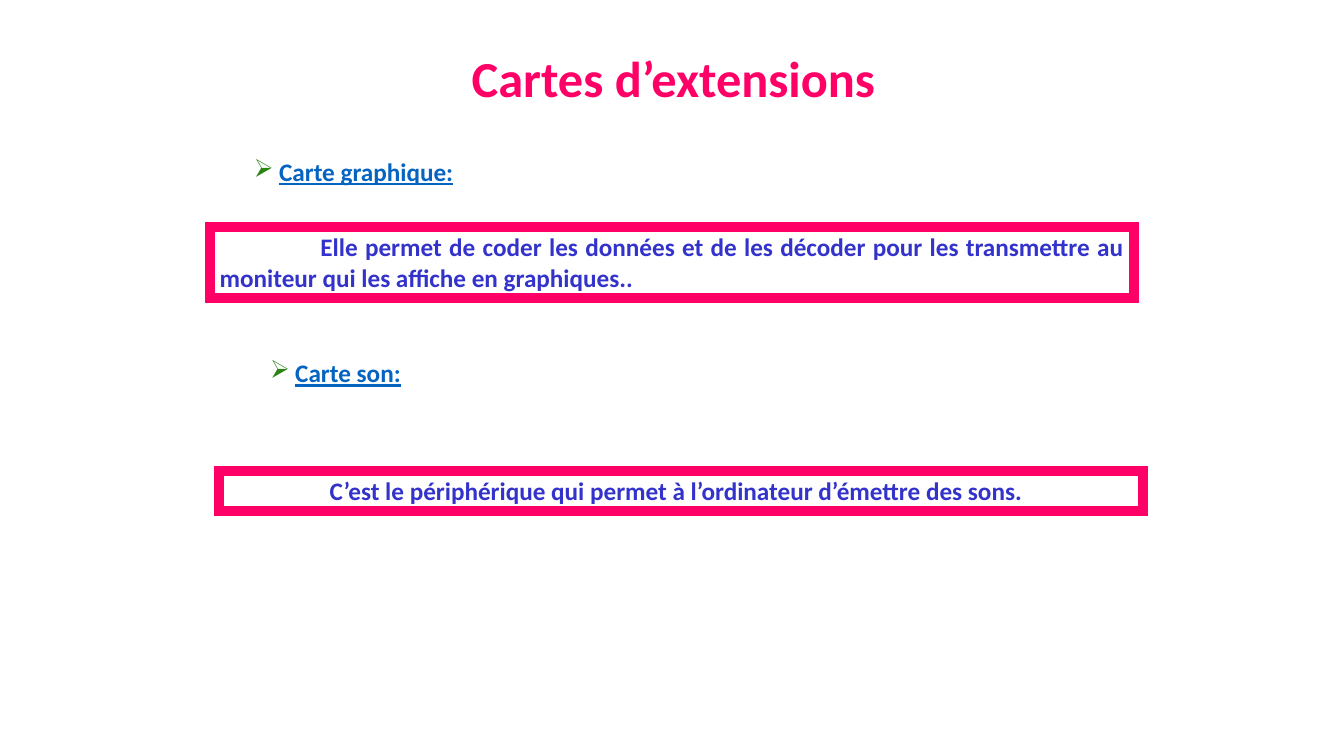
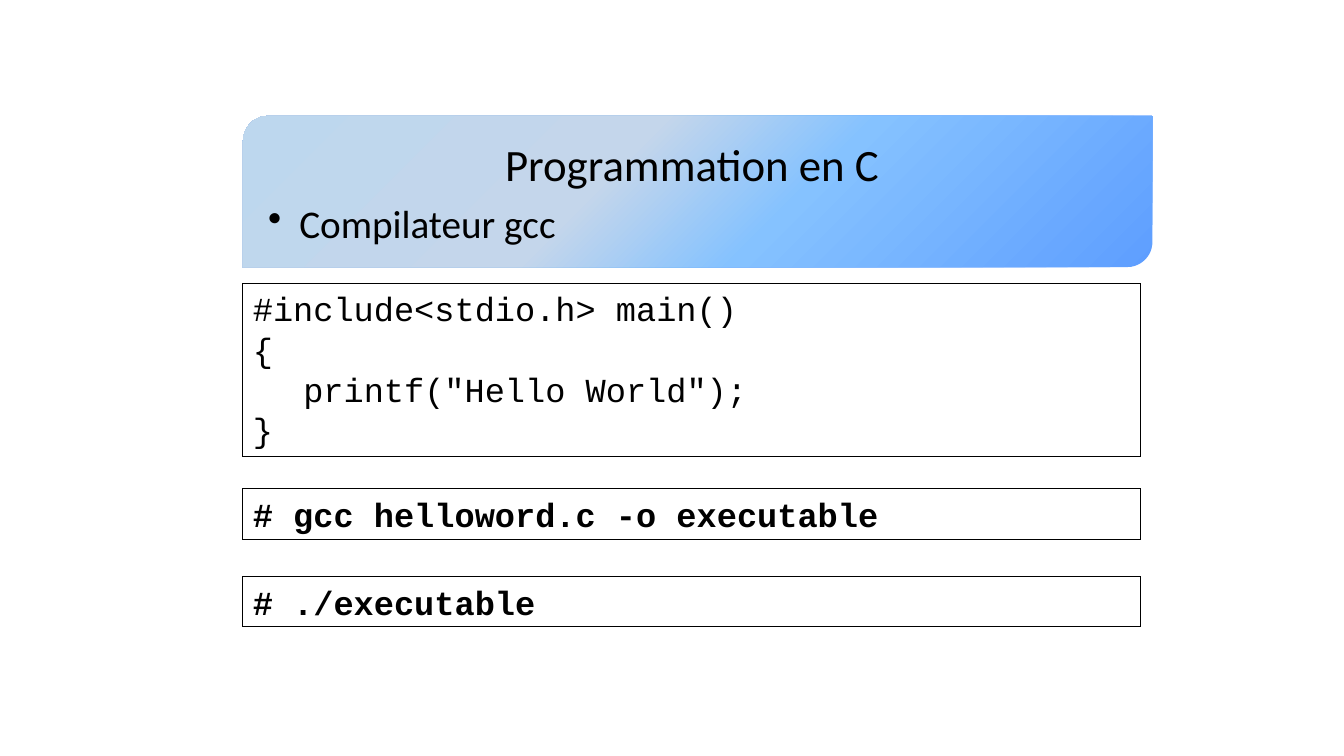
"""Build two French course slides: expansion cards and compiling C."""
from copy import deepcopy
from lxml import etree
from pptx import Presentation
from pptx import util as u
from pptx.dml.color import RGBColor
from pptx.enum import shapes, text
from pptx.oxml.ns import qn

PINK, GREEN, LINK, INDIGO = "FF0066", "298414", "0563C1", "3333CC"
BLACK, WHITE = "000000", "FFFFFF"
GRADIENT = [(0, "5E9EFF"), (40, "85C2FF"), (60, "C4D6EB"), (100, "BDD7EE")]
LEFT, CENTER, JUSTIFY = text.PP_ALIGN.LEFT, text.PP_ALIGN.CENTER, text.PP_ALIGN.JUSTIFY

TITLE = {"size": u.Pt(36), "name": "Calibri", "bold": True, "color": PINK}
HEADING = {"size": u.Pt(18), "name": "Calibri", "bold": True, "underline": True, "color": LINK}
DEFINITION = {"size": u.Pt(18), "name": "Calibri", "bold": True, "color": INDIGO}
TOPIC = {"size": u.Pt(32), "name": "Calibri", "color": BLACK}
SUBTOPIC = {**TOPIC, "size": u.Pt(28)}
CODE = {"size": u.Pt(24), "name": "Courier New", "color": BLACK}
COMMAND = {**CODE, "bold": True}


def rgb(value):
    return RGBColor.from_string(value)


def add_text(shape, lines, align=LEFT, margin=0, indent=0, bullet=None, bullet_color=BLACK):
    frame = shape.text_frame
    frame.word_wrap = True
    frame.vertical_anchor = text.MSO_ANCHOR.TOP
    for number, (line, style) in enumerate(lines):
        paragraph = frame.paragraphs[0] if number == 0 else frame.add_paragraph()
        paragraph.alignment = align
        properties = paragraph._p.get_or_add_pPr()
        properties.set("marL", str(u.Inches(margin)))
        properties.set("indent", str(u.Inches(indent)))
        if bullet:
            color = etree.SubElement(properties, qn("a:buClr"))
            etree.SubElement(color, qn("a:srgbClr"), val=bullet_color)
            etree.SubElement(properties, qn("a:buChar"), char=bullet)
        run = paragraph.add_run()
        run.text = line
        for key, value in style.items():
            if key == "color":
                run.font.color.rgb = rgb(value)
            else:
                setattr(run.font, key, value)
    return frame


def add_box(slide, left, top, width, height, line_color, line_width):
    box = slide.shapes.add_shape(shapes.MSO_SHAPE.RECTANGLE, *map(u.Inches, (left, top, width, height)))
    box.shadow.inherit = False
    box.fill.solid()
    box.fill.fore_color.rgb = rgb(WHITE)
    box.line.color.rgb = rgb(line_color)
    box.line.width = u.Pt(line_width)
    etree.SubElement(box.line._get_or_add_ln(), qn("a:miter"), lim="800000")
    return box


presentation = Presentation()
presentation.slide_width = u.Inches(13.33)
presentation.slide_height = u.Inches(7.5)
blank = presentation.slide_layouts[6]

slide = presentation.slides.add_slide(blank)
title = slide.shapes.add_textbox(*map(u.Inches, (4.58, 0.42, 4.63, 0.7)))
add_text(title, [("Cartes d’extensions", TITLE)])

cards = [
    ("Carte graphique:", 2.42, 1.5,
     "Elle permet de coder les données et de les décoder pour les transmettre au "
     "moniteur qui les affiche en graphiques..", 2.08, 2.25, 0.71),
    ("Carte son:", 2.58, 3.5,
     "C’est le périphérique qui permet à l’ordinateur d’émettre des sons.", 2.17, 4.67, 0.4),
]
for name, name_left, name_top, definition, left, top, height in cards:
    heading = slide.shapes.add_textbox(*map(u.Inches, (name_left, name_top, 3.5, 0.4)))
    add_text(heading, [(name, HEADING)], margin=0.25, indent=-0.25, bullet="➢", bullet_color=GREEN)
    box = add_box(slide, left, top, 9.17, height, PINK, 7)
    add_text(box, [(definition, DEFINITION)], align=JUSTIFY, indent=1)

slide = presentation.slides.add_slide(blank)
banner = slide.shapes.add_shape(
    shapes.MSO_SHAPE.ROUND_2_DIAG_RECTANGLE, *map(u.Inches, (2.41, 1.15, 9.02, 1.5)))
banner.shadow.inherit = False
banner.line.fill.background()
banner.fill.gradient()
banner.fill.gradient_angle = 135
stop_list = banner.fill._fill._gradFill.find(qn("a:gsLst"))
for _ in range(len(GRADIENT) - len(stop_list)):
    stop_list.append(deepcopy(stop_list[0]))
for stop, (position, color) in zip(banner.fill.gradient_stops, GRADIENT):
    stop.position = position / 100
    stop.color.rgb = rgb(color)

topic = slide.shapes.add_textbox(*map(u.Inches, (2.06, 1.31, 9.61, 0.64)))
add_text(topic, [("Programmation en C", TOPIC)], align=CENTER)
subtopic = slide.shapes.add_textbox(*map(u.Inches, (2.06, 1.93, 9.61, 0.6)))
add_text(subtopic, [("Compilateur gcc", SUBTOPIC)], margin=0.81, indent=-0.31, bullet="•")

program = ["#include<stdio.h> main()", "{", "\tprintf(\"Hello World\");", "}"]
listings = [
    (2.81, 1.72, program, CODE),
    (4.85, 0.5, ["# gcc helloword.c -o executable"], COMMAND),
    (5.72, 0.5, ["# ./executable"], COMMAND),
]
for top, height, lines, style in listings:
    box = add_box(slide, 2.41, top, 8.9, height, BLACK, 0.75)
    add_text(box, [(line, style) for line in lines])

presentation.save("out.pptx")
